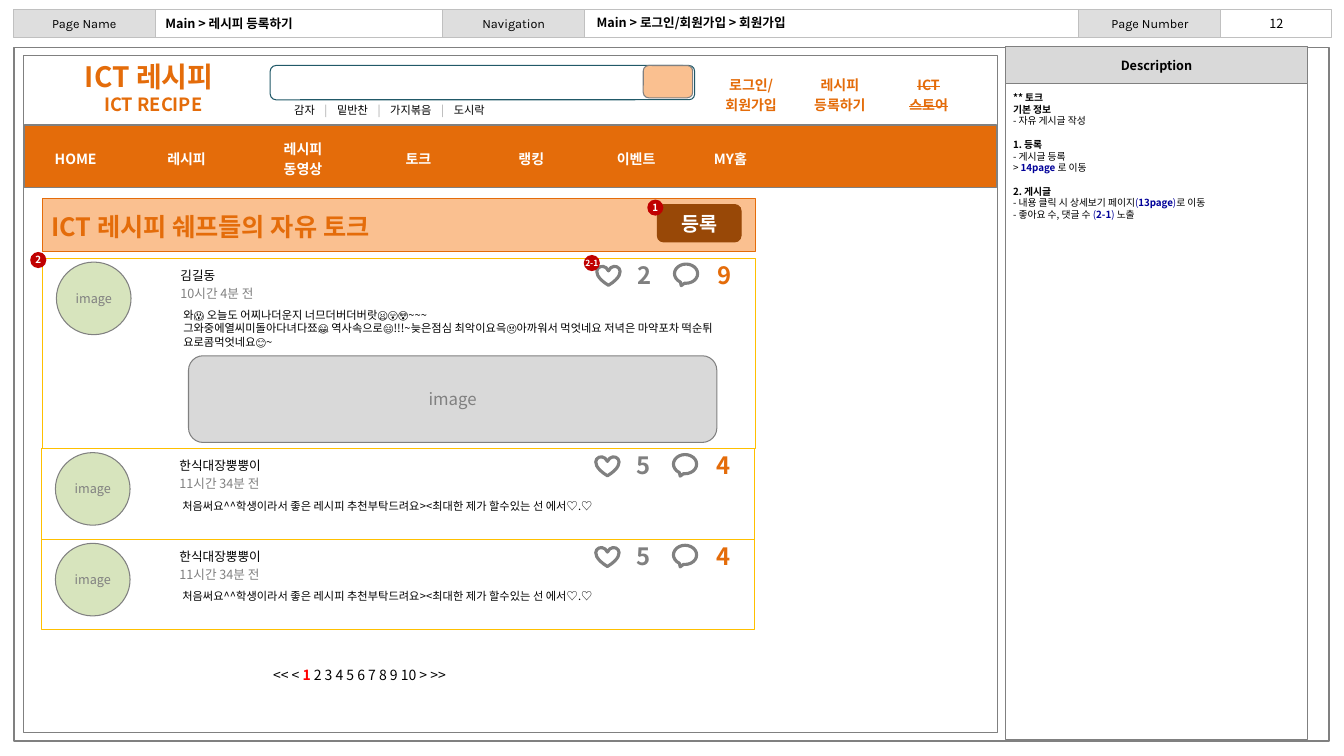
from dataclasses import dataclass

from lxml import etree
from pptx import Presentation
from pptx.dml.color import RGBColor
from pptx.enum.shapes import MSO_SHAPE
from pptx.enum.text import MSO_ANCHOR, MSO_AUTO_SIZE, PP_ALIGN
from pptx.oxml.ns import qn
from pptx.util import Inches, Pt

RECT, ROUND, OVAL = MSO_SHAPE.RECTANGLE, MSO_SHAPE.ROUNDED_RECTANGLE, MSO_SHAPE.OVAL
HEART, BUBBLE = MSO_SHAPE.HEART, MSO_SHAPE.OVAL_CALLOUT
LEFT, CENTER = PP_ALIGN.LEFT, PP_ALIGN.CENTER
TOP, MIDDLE = MSO_ANCHOR.TOP, MSO_ANCHOR.MIDDLE
NO_TABLE_STYLE = "{2D5ABB26-0587-4C30-8999-92F81FD0307C}"
TIGHT = (0.04, 0)
LOOSE = (0.1, 0.05)


@dataclass(frozen=True)
class Theme:
    font: str = "Noto Sans CJK KR"
    label_font: str = "Karla"
    black: str = "000000"
    white: str = "FFFFFF"
    gray: str = "808080"
    silver: str = "C0C0C0"
    divider: str = "A6A6A6"
    label: str = "DEDEDE"
    panel: str = "D9D9D9"
    orange: str = "E46C0A"
    peach: str = "FAC090"
    brown: str = "984807"
    gold: str = "FFC000"
    green: str = "D7E4BD"
    teal: str = "215968"
    marker: str = "C00000"
    current: str = "FF0000"
    link: str = "000099"
    tiny: int = 6
    note: int = 7
    small: int = 8
    base: int = 9
    menu: int = 10
    image: int = 12
    subtitle: int = 13
    button: int = 14
    count: int = 17
    heading: int = 18
    logo: int = 20


THEME = Theme()


@dataclass
class Para:
    """A paragraph: its spans as (text, format) pairs and its own format."""
    spans: list
    before: float = 0
    margin: float = 0
    indent: float = 0


def add_span(para, text, size=THEME.base, color=THEME.black, bold=False,
             strike=False, spread=0, font=THEME.font):
    """Add a run; spread is extra letter spacing in points."""
    for index, line in enumerate(text.split("\n")):
        if index:
            para.add_line_break()
        span = para.add_run()
        span.text = line
        span.font.size, span.font.bold, span.font.name = Pt(size), bold, font
        span.font.color.rgb = RGBColor.from_string(color)
        props = span._r.get_or_add_rPr()
        etree.SubElement(props, qn("a:ea")).set("typeface", font)
        if strike:
            props.set("strike", "sngStrike")
        if spread:
            props.set("spc", str(round(spread * 100)))


def write(frame, paras, align=CENTER, **style):
    """Fill a text frame with a string, or with a list of strings and Para objects."""
    for index, item in enumerate([paras] if isinstance(paras, str) else paras):
        item = Para([(item, {})]) if isinstance(item, str) else item
        para = frame.add_paragraph() if index else frame.paragraphs[0]
        para.alignment, para.line_spacing, para.space_before = align, 1.0, Pt(item.before)
        props = para._p.get_or_add_pPr()
        props.set("marL", str(Inches(item.margin)))
        props.set("indent", str(Inches(item.indent)))
        for text, span_style in item.spans:
            add_span(para, text, **{**style, **span_style})


def set_frame(frame, anchor, inset, wrap=True):
    frame.word_wrap, frame.auto_size, frame.vertical_anchor = wrap, MSO_AUTO_SIZE.NONE, anchor
    frame.margin_left = frame.margin_right = Inches(inset[0])
    frame.margin_top = frame.margin_bottom = Inches(inset[1])


def add_text(shapes, box, paras, align=LEFT, anchor=MIDDLE, inset=LOOSE, **style):
    frame = shapes.add_textbox(*map(Inches, box)).text_frame
    set_frame(frame, anchor, inset)
    write(frame, paras, align, **style)


def add_box(shapes, box, kind=RECT, fill=None, line=THEME.gray, width=0.75,
            text=None, inset=TIGHT, wrap=True, **style):
    shape = shapes.add_shape(kind, *map(Inches, box))
    shape.shadow.inherit = False
    if fill:
        shape.fill.solid()
        shape.fill.fore_color.rgb = RGBColor.from_string(fill)
    else:
        shape.fill.background()
    if line:
        shape.line.color.rgb = RGBColor.from_string(line)
        shape.line.width = Pt(width)
    else:
        shape.line.fill.background()
    if text:
        set_frame(shape.text_frame, MIDDLE, inset, wrap)
        write(shape.text_frame, text, **style)


def add_menu(shapes, left, top, widths, height, items, anchor, color):
    """A one-row table without grid; each item is a list of paragraphs."""
    frame = shapes.add_table(1, len(items), Inches(left), Inches(top),
                             Inches(sum(widths)), Inches(height))
    table = frame.table
    table.first_row = table.horz_banding = False
    table._tbl.tblPr.find(qn("a:tableStyleId")).text = NO_TABLE_STYLE
    table.rows[0].height = Inches(height)
    for column, width, cell, item in zip(table.columns, widths, table.rows[0].cells, items):
        column.width = Inches(width)
        cell.fill.background()
        cell.vertical_anchor = anchor
        write(cell.text_frame, item, size=THEME.menu, color=color, bold=True)


def add_header(page, left, top, width, height):
    add_box(page.shapes, (left + 0.03, top, width, height), line=THEME.silver)
    for offset, label in ((0, "Page Name"), (4.26, "Navigation"), (10.57, "Page Number")):
        add_box(page.shapes, (left + offset, top, 1.41, height), fill=THEME.label,
                line=THEME.silver, text=label, font=THEME.label_font)
    title = page.shapes.title
    title.left, title.top, title.width, title.height = map(
        Inches, (left + 1.41, top + 0.01, 2.85, 0.27))
    set_frame(title.text_frame, MIDDLE, LOOSE)
    write(title.text_frame, "Main > 레시피 등록하기", LEFT, bold=True)
    add_text(page.shapes, (left + 5.69, top, 2.85, 0.27),
             "Main > 로그인/회원가입 > 회원가입", bold=True)
    add_text(page.shapes, (left + 11.99, top + 0.02, 1.08, 0.25), "12", CENTER)


def add_description(page, left, top, width, height):
    shapes = page.shapes.add_group_shape().shapes
    add_box(shapes, (left, top + 0.01, width, height))
    add_box(shapes, (left, top, width, 0.37), fill=THEME.panel, text="Description", bold=True)
    strong, link = {"bold": True}, {"color": THEME.link}
    strong_link = {**strong, **link}
    lines = [
        [("** 토크", strong)],
        [("기본 정보", strong)],
        [("- 자유 게시글 작성", {})],
        [("1. 등록", strong)],
        [("- 게시글 등록", {})],
        [("> ", {}), ("14page ", strong_link), ("로 이동", {})],
        [("2. 게시글", strong)],
        [("- 내용 클릭 시 상세보기 페이지", {}), ("(", link), ("13page", strong_link),
         (")", link), ("로 이동", {})],
        [("- 좋아요 수, 댓글 수 ", {}), ("(", link), ("2-1", strong_link),
         (") ", link), ("노출", {})],
    ]
    paras = [Para(spans, before=8.3 if spans[0][0][0].isdigit() else 0,
                  margin=0.25, indent=-0.25) for spans in lines]
    add_text(page.shapes, (left - 0.02, top + 0.4, width, 4.11), paras,
             anchor=TOP, size=THEME.note)


def add_site_top(page, left, top, width):
    """Logo, search field, account links and the navigation bar."""
    shapes = page.shapes
    add_box(shapes, (left + 0.01, top + 0.69, width, 0.62), fill=THEME.orange)
    logo = ["ICT 레시피", Para([("ICT RECIPE", {"size": THEME.subtitle})], margin=0.08)]
    add_text(shapes, (left + 0.29, top + 0.01, 1.92, 0.61), logo, CENTER, inset=TIGHT,
             size=THEME.logo, color=THEME.orange, bold=True)
    add_menu(shapes, left + 0.01, top + 0.72, (1.02, 1.18, 1.13, 1.16, 1.08, 1, 0.87), 0.61,
             [["HOME"], ["레시피"], ["레시피", "동영상"], ["토크"], ["랭킹"], ["이벤트"], ["MY홈"]],
             MIDDLE, THEME.white)
    search = shapes.add_group_shape().shapes
    add_box(search, (left + 2.45, top + 0.1, 4.21, 0.34), ROUND, THEME.white, THEME.teal)
    add_box(search, (left + 6.15, top + 0.1, 0.49, 0.32), ROUND, THEME.peach)
    store = [Para([(word, {"strike": True})]) for word in ("ICT", "스토어")]
    add_menu(shapes, left + 6.78, top + 0.14, [0.88] * 3, 0.43,
             [["로그인/", "회원가입"], ["레시피", "등록하기"], store], TOP, THEME.orange)
    gap = (" ", {"spread": 5})
    spans = [("감자", {})]
    for tag in ("밑반찬", "가지볶음", "도시락"):
        spans += [gap, ("|", {"color": THEME.divider}), gap, (tag, {})]
    add_text(shapes, (left + 2.59, top + 0.43, 3.7, 0.24), [Para(spans)],
             anchor=TOP, size=THEME.small)


def add_talk_heading(page, left, top, width, height):
    add_box(page.shapes, (left, top, width, height), fill=THEME.peach, line=THEME.orange)
    add_text(page.shapes, (left - 0.01, top + 0.08, 4.2, 0.4), "ICT 레시피 쉐프들의 자유 토크",
             anchor=TOP, size=THEME.heading, color=THEME.orange, bold=True)
    add_box(page.shapes, (left + 6.1, top + 0.06, 0.83, 0.37), ROUND, THEME.brown, THEME.brown,
            text="등록", size=THEME.button, color=THEME.white, bold=True)


def add_post(page, left, top, width, height, name, age, likes, comments, body, photo=False):
    shapes = page.shapes.add_group_shape().shapes
    add_box(shapes, (left, top, width, height), line=THEME.gold)
    add_box(shapes, (left + 0.14, top + 0.04, 0.74, 0.72), OVAL, THEME.green,
            text="image", color=THEME.gray)
    for offset, text, color in ((0.02, name, THEME.black), (0.2, age, THEME.gray)):
        add_text(shapes, (left + 1.33, top + offset, 1.14, 0.3), text, inset=TIGHT, color=color)
    for kind, offset, drop in ((HEART, 5.5, 0.08), (BUBBLE, 6.27, 0.06)):
        add_box(shapes, (left + offset, top + drop, 0.23, 0.19), kind, width=2.25)
    for offset, count, color in ((5.86, likes, THEME.gray), (6.66, comments, THEME.orange)):
        add_text(shapes, (left + offset, top + 0.07, 0.21, 0.19), count, CENTER, inset=TIGHT,
                 size=THEME.count, color=color, bold=True)
    add_text(shapes, (left + 1.3, top + 0.45, 5.57, 0.5 if photo else 0.24), body,
             anchor=TOP, size=THEME.small)
    if photo:
        add_box(shapes, (left + 1.45, top + 0.97, 5.24, 0.86), ROUND, THEME.panel,
                text="image", size=THEME.image, color=THEME.gray)


def add_pager(page, left, top, width, height):
    spans = [("<< < ", {}), ("1", {"color": THEME.current, "bold": True}),
             (" 2 3 4 5 6 7 8 9 10 > >>", {})]
    add_text(page.shapes, (left, top, width, height), [Para(spans)], anchor=TOP, size=THEME.menu)


def add_marker(page, left, top, label, size=THEME.note):
    add_box(page.shapes, (left, top, 0.16, 0.16), OVAL, THEME.marker, None, text=label,
            inset=(0, 0), wrap=False, size=size, color=THEME.white, bold=True)


def main():
    deck = Presentation()
    deck.slide_width, deck.slide_height = Inches(13.33), Inches(7.5)
    page = deck.slides.add_slide(deck.slide_layouts[5])
    add_box(page.shapes, (0.14, 0.47, 13.04, 6.88), width=1)
    add_header(page, 0.13, 0.09, 13.05, 0.28)
    add_box(page.shapes, (0.23, 0.55, 9.66, 6.72))
    add_description(page, 9.97, 0.46, 3, 6.87)
    add_site_top(page, 0.23, 0.55, 9.64)
    add_talk_heading(page, 0.42, 1.97, 7.07, 0.53)
    add_post(page, 0.42, 2.56, 7.07, 1.89, "김길동", "10시간 4분 전", "2", "9",
             "와😱 오늘도 어찌나더운지 너므더버더버랏😫😲😵~~~\n"
             "그와중에열씨미돌아다녀다쬬😂 역사속으로😄!!!~늦은점심 최악이요윽😠아까워서 "
             "먹엇네요 저녁은 마약포차 떡순튀 요로콤먹엇네요😊~", photo=True)
    for top in (4.45, 5.35):
        add_post(page, 0.41, top, 7.07, 0.9, "한식대장뿡뿡이", "11시간 34분 전", "5", "4",
                 "처음써요^^학생이라서 좋은 레시피 추천부탁드려요><최대한 제가 할수있는 선 에서♡.♡")
    add_pager(page, 2.61, 6.56, 2.28, 0.27)
    add_marker(page, 6.42, 1.98, "1")
    add_marker(page, 0.3, 2.5, "2")
    add_marker(page, 5.79, 2.53, "2-1", THEME.tiny)
    deck.save("out.pptx")


if __name__ == "__main__":
    main()
